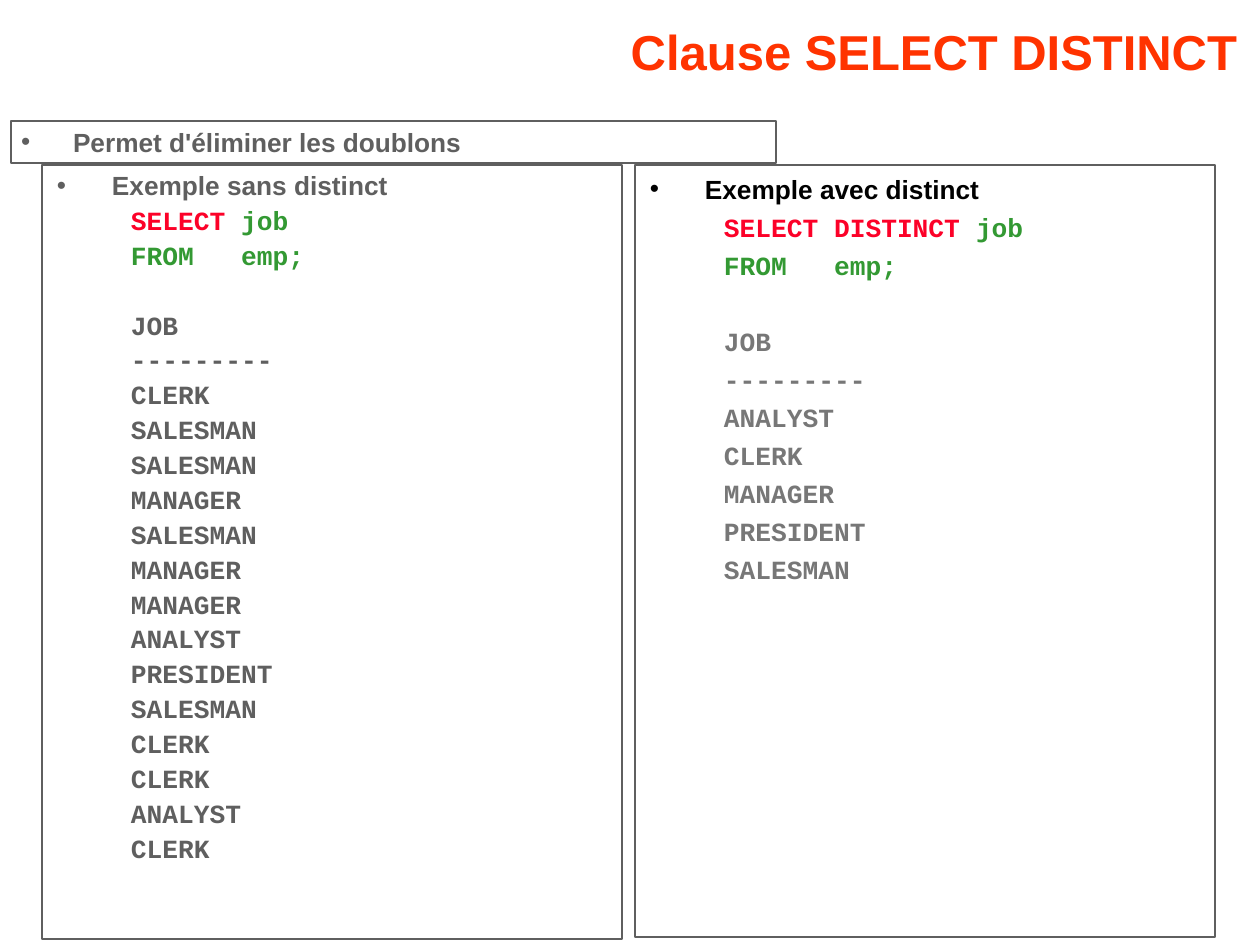
from dataclasses import dataclass

from lxml import etree
from pptx import Presentation
from pptx.dml.color import RGBColor
from pptx.enum.text import MSO_ANCHOR, MSO_AUTO_SIZE, PP_ALIGN
from pptx.oxml.ns import qn
from pptx.util import Emu, Inches, Pt

RIGHT, MIDDLE, TOP = PP_ALIGN.RIGHT, MSO_ANCHOR.MIDDLE, MSO_ANCHOR.TOP
NO_FIT = MSO_AUTO_SIZE.NONE

ORANGE = RGBColor(0xFF, 0x33, 0x00)
RED = RGBColor(0xFC, 0x01, 0x28)
GREEN = RGBColor(0x33, 0x99, 0x33)
DARK_GRAY = RGBColor(0x5F, 0x5F, 0x5F)
MID_GRAY = RGBColor(0x77, 0x77, 0x77)
BLACK = RGBColor(0x00, 0x00, 0x00)

PX = 914400 / 126
SANS, MONO = "Arial", "Courier New"
BODY_PT = 15
GAP_PT = 3.7
CODE_LEFT = 74


@dataclass
class Box:
    x: int
    y: int
    w: int
    h: int
    pad_x: int = 15
    pad_y: int = 8
    line_pt: float = 1


@dataclass
class QueryPanel:
    box: Box
    heading: str
    heading_color: RGBColor
    keywords: str
    result_color: RGBColor
    line_spacing: float
    result_gap_pt: float
    jobs: list[str]


PANELS = [
    QueryPanel(Box(42, 165, 580, 774), "Exemple sans distinct", DARK_GRAY,
               "SELECT ", DARK_GRAY, 0.9, 23.6,
               ["CLERK", "SALESMAN", "SALESMAN", "MANAGER", "SALESMAN", "MANAGER",
                "MANAGER", "ANALYST", "PRESIDENT", "SALESMAN", "CLERK", "CLERK",
                "ANALYST", "CLERK"]),
    QueryPanel(Box(635, 165, 580, 772), "Exemple avec distinct", BLACK,
               "SELECT DISTINCT ", MID_GRAY, 1.0, 25.4,
               ["ANALYST", "CLERK", "MANAGER", "PRESIDENT", "SALESMAN"]),
]


def px(n: int) -> Emu:
    return Emu(round(n * PX))


def place(sp, box: Box, anchor) -> None:
    """Set the position, padding and anchoring of a text shape."""
    for name, value in dict(left=box.x, top=box.y, width=box.w, height=box.h).items():
        setattr(sp, name, px(value))
    frame_format = dict(margin_left=px(box.pad_x), margin_right=px(box.pad_x),
                        margin_top=px(box.pad_y), margin_bottom=px(box.pad_y),
                        word_wrap=True, auto_size=NO_FIT, vertical_anchor=anchor)
    for name, value in frame_format.items():
        setattr(sp.text_frame, name, value)


def add_run(p, text: str, color: RGBColor, font: str = SANS, size: float = BODY_PT) -> None:
    r = p.add_run()
    r.text = text
    for name, value in dict(name=font, size=Pt(size), bold=True).items():
        setattr(r.font, name, value)
    r.font.color.rgb = color


def indent(p, left: int, first: int = 0) -> None:
    pPr = p._p.get_or_add_pPr()
    pPr.set("marL", str(px(left)))
    pPr.set("indent", str(px(first)))


def add_bullet(p, text: str, color: RGBColor, hang: int) -> None:
    indent(p, hang, -hang)
    pPr = p._p.get_or_add_pPr()
    bullet_color = etree.SubElement(pPr, qn("a:buClr"))
    etree.SubElement(bullet_color, qn("a:srgbClr")).set("val", str(color))
    etree.SubElement(pPr, qn("a:buFont")).set("typeface", SANS)
    etree.SubElement(pPr, qn("a:buChar")).set("char", "•")
    add_run(p, text, color)


def add_frame(s, box: Box):
    """Add an outlined text box and return its text frame."""
    sp = s.shapes.add_textbox(0, 0, 0, 0)
    place(sp, box, TOP)
    sp.line.color.rgb = DARK_GRAY
    sp.line.width = Pt(box.line_pt)
    return sp.text_frame


def add_panel(s, panel: QueryPanel) -> None:
    tf = add_frame(s, panel.box)
    p = tf.paragraphs[0]
    p.line_spacing = panel.line_spacing
    add_bullet(p, panel.heading, panel.heading_color, 55)

    query = [[(panel.keywords, RED), ("job", GREEN)], [("FROM   emp;", GREEN)]]
    result = [[(text, panel.result_color)] for text in ["JOB", "---------", *panel.jobs]]
    for i, runs in enumerate(query + result):
        p = tf.add_paragraph()
        p.level = 1
        p.line_spacing = panel.line_spacing
        p.space_before = Pt(panel.result_gap_pt if i == len(query) else GAP_PT)
        indent(p, CODE_LEFT)
        for text, color in runs:
            add_run(p, text, color, MONO)


def main() -> None:
    prs = Presentation()
    prs.slide_width, prs.slide_height = Inches(10), Inches(7.5)
    s = prs.slides.add_slide(prs.slide_layouts[5])

    title = s.shapes.title
    place(title, Box(165, 0, 1087, 101), MIDDLE)
    p = title.text_frame.paragraphs[0]
    p.alignment = RIGHT
    add_run(p, "Clause SELECT DISTINCT", ORANGE, size=28)

    for panel in PANELS:
        add_panel(s, panel)

    tf = add_frame(s, Box(11, 121, 765, 42, pad_x=10, pad_y=5, line_pt=0.75))
    add_bullet(tf.paragraphs[0], "Permet d'éliminer les doublons", DARK_GRAY, 52)

    prs.save("out.pptx")


if __name__ == "__main__":
    main()
